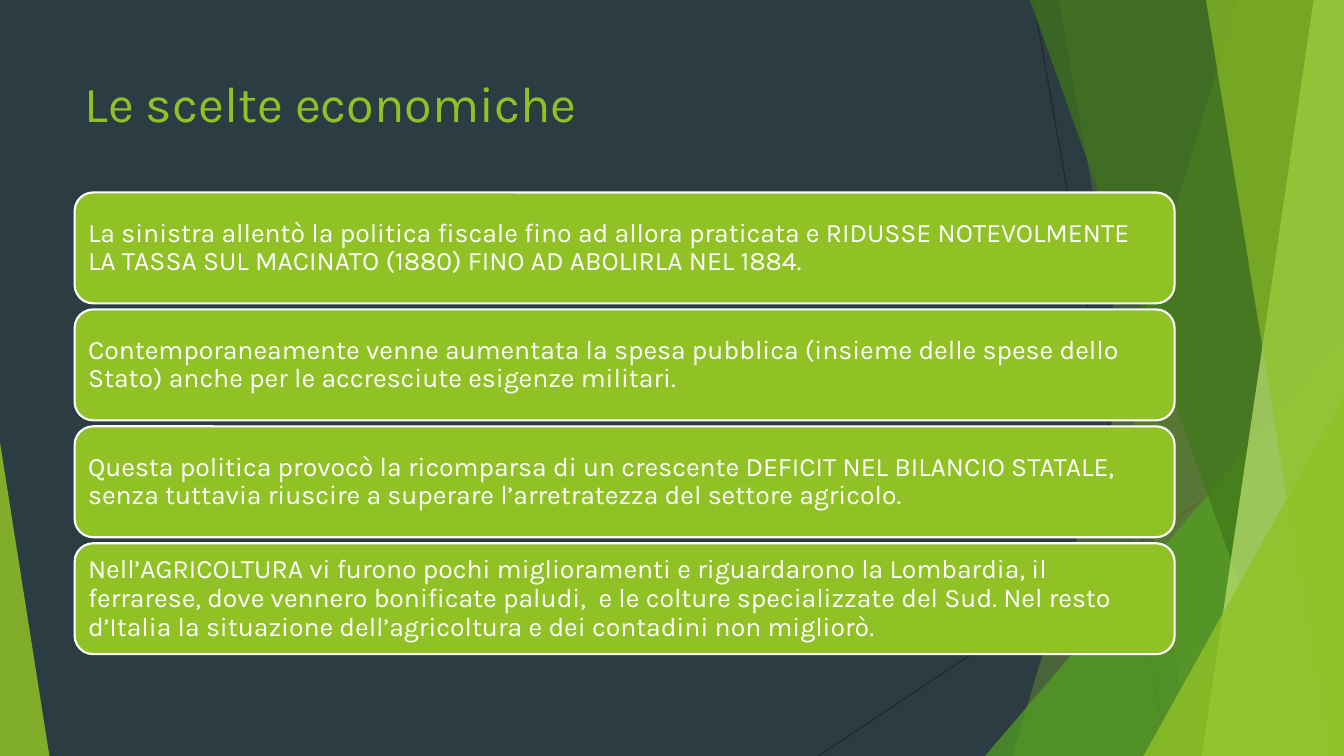
"""Build the slide on the economic choices of the Left."""
from dataclasses import dataclass

from lxml.etree import SubElement
from pptx import Presentation
from pptx.dml.color import RGBColor
from pptx.enum.shapes import MSO_CONNECTOR as Connector, MSO_SHAPE as Preset
from pptx.enum.text import MSO_ANCHOR as Anchor, PP_ALIGN as Align
from pptx.oxml.ns import qn
from pptx.shapes.autoshape import Shape
from pptx.slide import Slide
from pptx.text.text import TextFrame
from pptx.util import Inches, Pt

BACKGROUND = RGBColor(0x2C, 0x3C, 0x43)
LIME = RGBColor(0x90, 0xC2, 0x26)
GREEN = RGBColor(0x54, 0xA0, 0x21)
FOREST = RGBColor(0x3F, 0x78, 0x19)
PALE_LIME = RGBColor(0xC0, 0xE4, 0x74)
CHARCOAL = RGBColor(0x26, 0x26, 0x26)
WHITE = RGBColor(0xFF, 0xFF, 0xFF)
FONT = "Karla"
WIDTH, HEIGHT = 13.33, 7.5
FACET_TOP = -0.01
CARD_LEFT, CARD_TOP, CARD_WIDTH, CARD_HEIGHT = 0.74, 1.91, 10.91, 1.1
CARD_PITCH = 1.16


@dataclass(frozen=True)
class Ray:
    """A thin line across the backdrop."""
    start: tuple[float, float]
    end: tuple[float, float]


@dataclass(frozen=True)
class Band:
    """A full-height facet that reaches the right edge."""
    top_left: float
    bottom_left: float
    color: RGBColor
    opacity: int


@dataclass(frozen=True)
class Wedge:
    """A right triangle standing on the bottom edge."""
    left: float
    top: float
    width: float
    apex: float
    color: RGBColor
    opacity: int


RAYS = [Ray((10.25, 0), (11.58, HEIGHT)), Ray((WIDTH, 4.03), (8.12, HEIGHT))]
FACETS: list[Band | Wedge] = [
    Band(12.28, 10.04, LIME, 30),
    Band(10.5, 11.83, LIME, 20),
    Wedge(9.77, 3.33, 3.56, 1, GREEN, 72),
    Band(10.21, 12.91, FOREST, 70),
    Band(13.03, 11.92, PALE_LIME, 70),
    Band(11.96, 13.18, LIME, 65),
    Wedge(11.34, 3.93, 1.99, 1, LIME, 80),
    Wedge(0, 4.39, 0.49, 0, LIME, 85),
]
CARDS = [
    "La sinistra allentò la politica fiscale fino ad allora praticata e RIDUSSE "
    "NOTEVOLMENTE LA TASSA SUL MACINATO (1880) FINO AD ABOLIRLA NEL 1884.",
    "Contemporaneamente venne aumentata la spesa pubblica (insieme delle spese dello "
    "Stato) anche per le accresciute esigenze militari.",
    "Questa politica provocò la ricomparsa di un crescente DEFICIT NEL BILANCIO STATALE, "
    "senza tuttavia riuscire a superare l’arretratezza del settore agricolo.",
    "Nell’AGRICOLTURA vi furono pochi miglioramenti e riguardarono la Lombardia, il "
    "ferrarese, dove vennero bonificate paludi,  e le colture specializzate del Sud. "
    "Nel resto d’Italia la situazione dell’agricoltura e dei contadini non migliorò.",
]


def draw_ray(slide: Slide, ray: Ray) -> None:
    """Draw a thin line without a shadow."""
    points = [Inches(value) for value in (*ray.start, *ray.end)]
    connector = slide.shapes.add_connector(Connector.STRAIGHT, *points)
    connector.line.color.rgb = CHARCOAL
    connector.line.width = Pt(0.75)
    SubElement(connector.element.spPr, qn("a:effectLst"))


def outline_facet(slide: Slide, facet: Band | Wedge) -> Shape:
    """Add the unpainted outline of a facet."""
    if isinstance(facet, Wedge):
        wedge = slide.shapes.add_shape(
            Preset.ISOSCELES_TRIANGLE, Inches(facet.left), Inches(facet.top),
            Inches(facet.width), Inches(HEIGHT - facet.top))
        wedge.adjustments[0] = facet.apex
        return wedge
    corners = [(facet.top_left, FACET_TOP), (WIDTH, FACET_TOP),
               (WIDTH, HEIGHT), (facet.bottom_left, HEIGHT)]
    start, *rest = [(Inches(x), Inches(y)) for x, y in corners]
    builder = slide.shapes.build_freeform(*start)
    builder.add_line_segments(rest, close=True)
    return builder.convert_to_shape()


def draw_facet(slide: Slide, facet: Band | Wedge) -> None:
    """Draw a translucent facet."""
    shape = outline_facet(slide, facet)
    shape.shadow.inherit = False
    shape.fill.solid()
    shape.fill.fore_color.rgb = facet.color
    color = shape.element.spPr.find(f"{qn('a:solidFill')}/{qn('a:srgbClr')}")
    SubElement(color, qn("a:alpha"), val=str(facet.opacity * 1000))
    shape.line.fill.background()


def write_text(frame: TextFrame, text: str, size: float, color: RGBColor,
               spacing: float = 1.0) -> None:
    """Write one left-aligned paragraph."""
    frame.word_wrap = True
    paragraph = frame.paragraphs[0]
    paragraph.alignment = Align.LEFT
    paragraph.line_spacing = spacing
    run = paragraph.add_run()
    run.text = text
    run.font.name = FONT
    run.font.size = Pt(size)
    run.font.color.rgb = color


def draw_card(slide: Slide, top: float, text: str) -> None:
    """Draw a rounded card with its text."""
    card = slide.shapes.add_shape(
        Preset.ROUNDED_RECTANGLE, Inches(CARD_LEFT), Inches(top),
        Inches(CARD_WIDTH), Inches(CARD_HEIGHT))
    card.shadow.inherit = False
    card.fill.solid()
    card.fill.fore_color.rgb = LIME
    card.line.color.rgb = WHITE
    card.line.width = Pt(1.5)
    frame = card.text_frame
    frame.vertical_anchor = Anchor.MIDDLE
    frame.margin_left = frame.margin_right = Inches(0.08)
    frame.margin_top = frame.margin_bottom = Inches(0.08)
    write_text(frame, text, 19, WHITE, spacing=0.9)


def main() -> None:
    """Assemble and save the slide."""
    presentation = Presentation()
    presentation.slide_width = Inches(WIDTH)
    presentation.slide_height = Inches(HEIGHT)
    slide = presentation.slides.add_slide(presentation.slide_layouts[6])
    slide.background.fill.solid()
    slide.background.fill.fore_color.rgb = BACKGROUND
    for ray in RAYS:
        draw_ray(slide, ray)
    for facet in FACETS:
        draw_facet(slide, facet)
    title = slide.shapes.add_textbox(
        Inches(CARD_LEFT), Inches(0.67), Inches(9.4), Inches(1.44))
    write_text(title.text_frame, "Le scelte economiche", 36, LIME)
    for index, text in enumerate(CARDS):
        draw_card(slide, CARD_TOP + index * CARD_PITCH, text)
    presentation.save("out.pptx")


if __name__ == "__main__":
    main()
